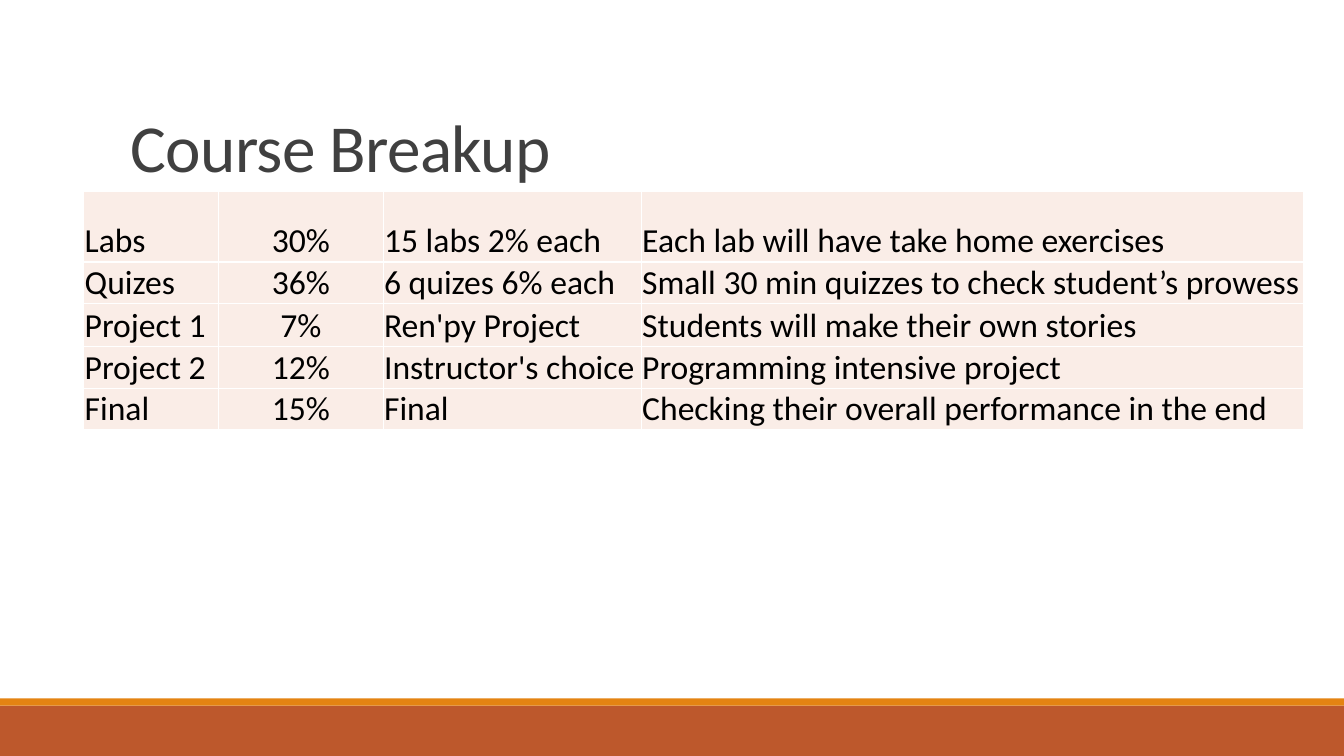
from lxml import etree
from pptx import Presentation
from pptx import util as u
from pptx.dml.color import RGBColor
from pptx.enum import shapes, text
from pptx.oxml import ns

ROWS = [
    ("Labs", "30%", "15 labs 2% each", "Each lab will have take home exercises"),
    ("Quizes", "36%", "6 quizes 6% each", "Small 30 min quizzes to check student’s prowess"),
    ("Project 1", "7%", "Ren'py Project", "Students will make their own stories"),
    ("Project 2", "12%", "Instructor's choice", "Programming intensive project"),
    ("Final", "15%", "Final", "Checking their overall performance in the end"),
]
WIDTHS = [1.34, 1.63, 2.56, 6.57]
HEIGHTS = [0.7, 0.37, 0.43, 0.38, 0.37]


def paint(fill, color):
    fill.solid()
    fill.fore_color.rgb = RGBColor.from_string(color)


def style(item, values):
    for name, value in values.items():
        setattr(item, name, value)


def write(para, words, size, color):
    run = para.add_run()
    run.text = words
    style(run.font, {"name": "Calibri", "size": u.Pt(size)})
    paint(run.font.fill, color)
    return run


def add_bar(slide, top, height, color):
    bar = slide.shapes.add_shape(shapes.MSO_SHAPE.RECTANGLE, 0, u.Inches(top),
                                 u.Inches(13.33), u.Inches(height))
    bar.shadow.inherit = False
    bar.line.fill.background()
    paint(bar.fill, color)


def add_rule(slide, left, right, top):
    rule = slide.shapes.add_connector(
        shapes.MSO_CONNECTOR.STRAIGHT,
        *[u.Inches(n) for n in (left, top, right, top)])
    paint(rule.line.fill, "808080")
    rule.line.width = u.Pt(0.5)
    etree.SubElement(rule.line._get_or_add_ln().getparent(), ns.qn("a:effectLst"))


def add_title(slide, words):
    box = slide.shapes.add_textbox(*[u.Inches(n) for n in (1.2, 0.31, 11, 1.59)])
    frame = box.text_frame
    style(frame, {"word_wrap": True, "vertical_anchor": text.MSO_ANCHOR.BOTTOM})
    para = frame.paragraphs[0]
    para.line_spacing = 0.85
    run = write(para, words, 48, "404040")
    run.font._element.set("spc", "-50")


def add_edges(cell):
    props = cell._tc.get_or_add_tcPr()
    for side in ("lnL", "lnR", "lnT", "lnB"):
        edge = etree.SubElement(props, ns.qn("a:" + side), w=str(u.Pt(1)))
        fill = etree.SubElement(edge, ns.qn("a:solidFill"))
        etree.SubElement(fill, ns.qn("a:srgbClr"), val="FFFFFF")


def fill_cell(cell, words, align):
    add_edges(cell)
    paint(cell.fill, "FAEDE7")
    gap = u.Inches(0.01)
    style(cell, {"margin_left": gap, "margin_right": gap, "margin_top": gap,
                 "margin_bottom": 0, "vertical_anchor": text.MSO_ANCHOR.BOTTOM})
    para = cell.text_frame.paragraphs[0]
    para.alignment = align
    write(para, words, 24, "000000")


def add_grid(slide, left, top):
    table = slide.shapes.add_table(
        len(ROWS), len(WIDTHS), u.Inches(left), u.Inches(top),
        u.Inches(sum(WIDTHS)), u.Inches(sum(HEIGHTS))).table
    style(table, {"first_row": False, "horz_banding": False})
    for col, width in zip(table.columns, WIDTHS):
        col.width = u.Inches(width)
    for row, height, words in zip(table.rows, HEIGHTS, ROWS):
        row.height = u.Inches(height)
        for i, word in enumerate(words):
            align = text.PP_ALIGN.CENTER if i == 1 else text.PP_ALIGN.LEFT
            fill_cell(row.cells[i], word, align)


def main():
    deck = Presentation()
    style(deck, {"slide_width": u.Inches(13.33), "slide_height": u.Inches(7.5)})
    slide = deck.slides.add_slide(deck.slide_layouts[6])
    add_bar(slide, 7, 0.5, "BD582C")
    add_bar(slide, 6.93, 0.07, "E48312")
    add_rule(slide, 1.31, 12.21, 1.9)
    add_title(slide, "Course Breakup")
    add_grid(slide, 0.83, 1.9)
    deck.save("out.pptx")


if __name__ == "__main__":
    main()
